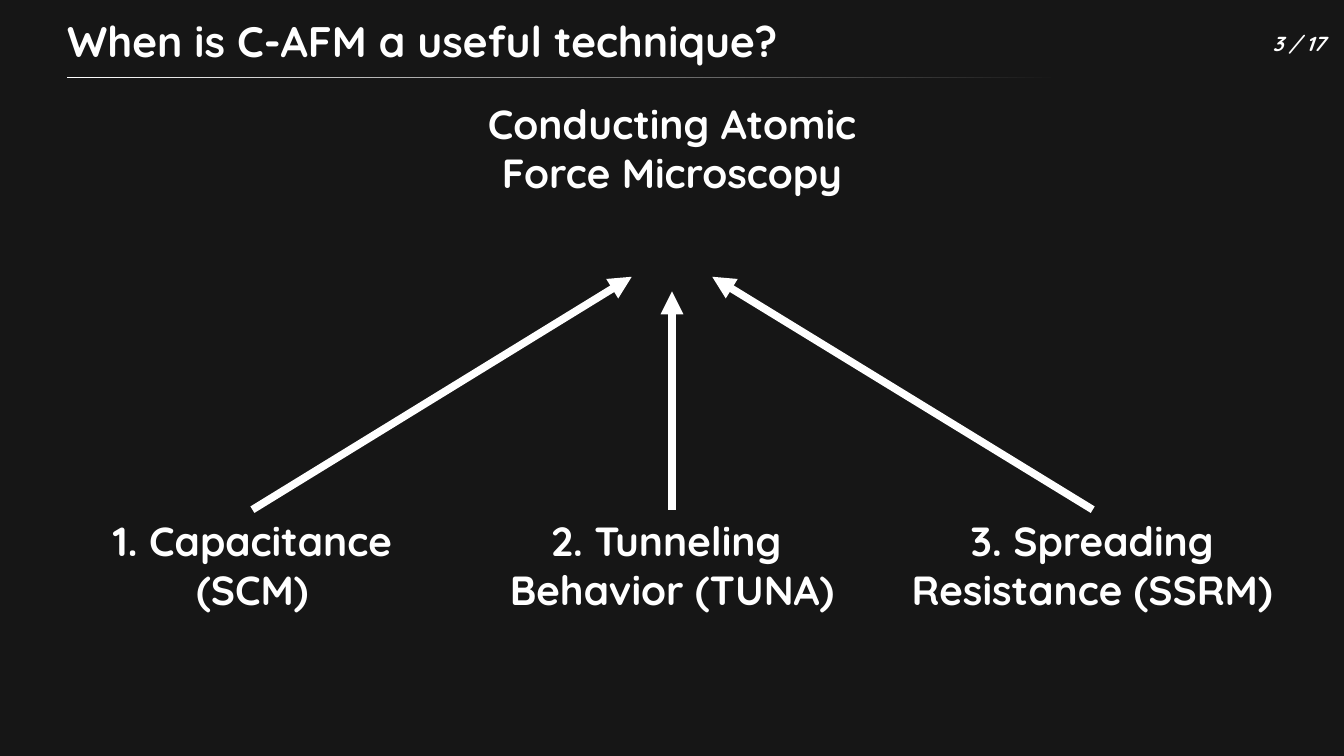
from dataclasses import dataclass

import pptx
import pptx.dml.color
import pptx.enum.shapes
import pptx.enum.text
import pptx.oxml
import pptx.oxml.ns
import pptx.util

Inches = pptx.util.Inches
Pt = pptx.util.Pt
ALIGN = pptx.enum.text.PP_ALIGN
ANCHOR = pptx.enum.text.MSO_ANCHOR
AUTO = pptx.enum.text.MSO_AUTO_SIZE

WIDTH, HEIGHT = 11.02, 6.2
DARK, WHITE = "161616", "FFFFFF"
FONT = "Quicksand"


@dataclass
class Label:
    text: str
    left: float
    top: float
    width: float
    height: float
    size: float = 24
    align: ALIGN = ALIGN.CENTER
    anchor: ANCHOR = ANCHOR.TOP
    auto_size: AUTO = AUTO.SHAPE_TO_FIT_TEXT
    wrap: bool = True
    italic: bool = False
    inset: tuple[float, float] = (0.1, 0.05)
    line_spacing: float = 1.0


@dataclass
class Arrow:
    tip: tuple[float, float]
    tail: tuple[float, float]


LABELS = [
    Label("3 / 17", 10.36, 0.11, 0.58, 0.49, size=12, anchor=ANCHOR.MIDDLE,
          auto_size=AUTO.NONE, wrap=False, italic=True),
    Label("When is C-AFM a useful technique?", 0.55, 0.16, 9.92, 0.39, size=25.2,
          align=ALIGN.LEFT, anchor=ANCHOR.MIDDLE, auto_size=AUTO.NONE,
          inset=(0, 0), line_spacing=0.9),
    Label("Conducting Atomic Force Microscopy", 3.88, 0.76, 3.26, 1.31),
    Label("1. Capacitance (SCM)", 0.39, 4.18, 3.36, 0.91),
    Label("2. Tunneling \vBehavior (TUNA)", 4.06, 4.18, 2.9, 0.91),
    Label("3. Spreading Resistance (SSRM)", 7.04, 4.18, 3.83, 0.91),
]

ARROWS = [
    Arrow((5.18, 2.27), (2.07, 4.18)),
    Arrow((5.51, 2.39), (5.51, 4.18)),
    Arrow((5.84, 2.27), (8.96, 4.18)),
]


def rgb(value: str) -> pptx.dml.color.RGBColor:
    return pptx.dml.color.RGBColor.from_string(value)


def add_rect(slide, left: float, top: float, width: float, height: float):
    sp = slide.shapes.add_shape(
        pptx.enum.shapes.MSO_SHAPE.RECTANGLE,
        Inches(left), Inches(top), Inches(width), Inches(height))
    sp.shadow.inherit = False
    sp.line.fill.background()
    return sp


def add_label(slide, label: Label) -> None:
    sp = slide.shapes.add_textbox(
        Inches(label.left), Inches(label.top), Inches(label.width), Inches(label.height))
    tf = sp.text_frame
    tf.word_wrap = label.wrap
    tf.auto_size = label.auto_size
    tf.vertical_anchor = label.anchor
    tf.margin_left = tf.margin_right = Inches(label.inset[0])
    tf.margin_top = tf.margin_bottom = Inches(label.inset[1])
    p = tf.paragraphs[0]
    p.text = label.text
    p.alignment = label.align
    p.line_spacing = label.line_spacing
    p.font.name = FONT
    p.font.size = Pt(label.size)
    p.font.bold = True
    p.font.italic = label.italic
    p.font.color.rgb = rgb(WHITE)


def add_arrow(slide, arrow: Arrow) -> None:
    cxn = slide.shapes.add_connector(
        pptx.enum.shapes.MSO_CONNECTOR.STRAIGHT,
        *map(Inches, arrow.tip), *map(Inches, arrow.tail))
    cxn.line.color.rgb = rgb(WHITE)
    cxn.line.width = Pt(4.5)
    ns = pptx.oxml.ns.nsdecls("a")
    ln = cxn.line.fill._xPr
    ln.append(pptx.oxml.parse_xml(f'<a:headEnd {ns} type="triangle"/>'))
    ln.addnext(pptx.oxml.parse_xml(f"<a:effectLst {ns}/>"))


def main() -> None:
    prs = pptx.Presentation()
    prs.slide_width, prs.slide_height = Inches(WIDTH), Inches(HEIGHT)
    slide = prs.slides.add_slide(prs.slide_layouts[6])

    # Dark backdrop
    backdrop = add_rect(slide, 0, 0, WIDTH, HEIGHT)
    backdrop.fill.solid()
    backdrop.fill.fore_color.rgb = rgb(DARK)

    # Title rule, fading out to the right
    rule = add_rect(slide, 0.55, 0.63, 9.92, 0.01)
    rule.fill.gradient()
    rule.fill.gradient_angle = 180
    for stop, (position, color) in zip(rule.fill.gradient_stops, [(0.18, DARK), (1, WHITE)]):
        stop.position = position
        stop.color.rgb = rgb(color)

    # Texts and the arrows that join them
    for label in LABELS:
        add_label(slide, label)
    for arrow in ARROWS:
        add_arrow(slide, arrow)

    prs.save("out.pptx")


if __name__ == "__main__":
    main()
